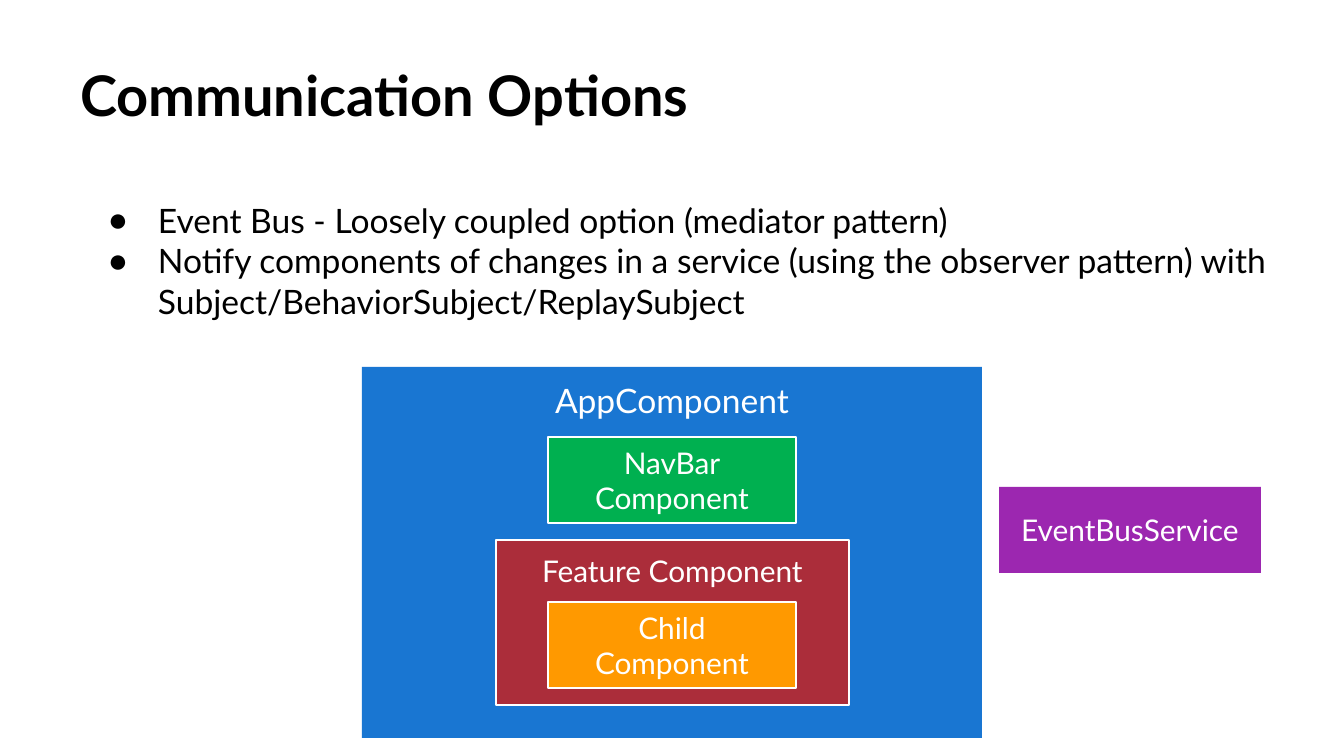
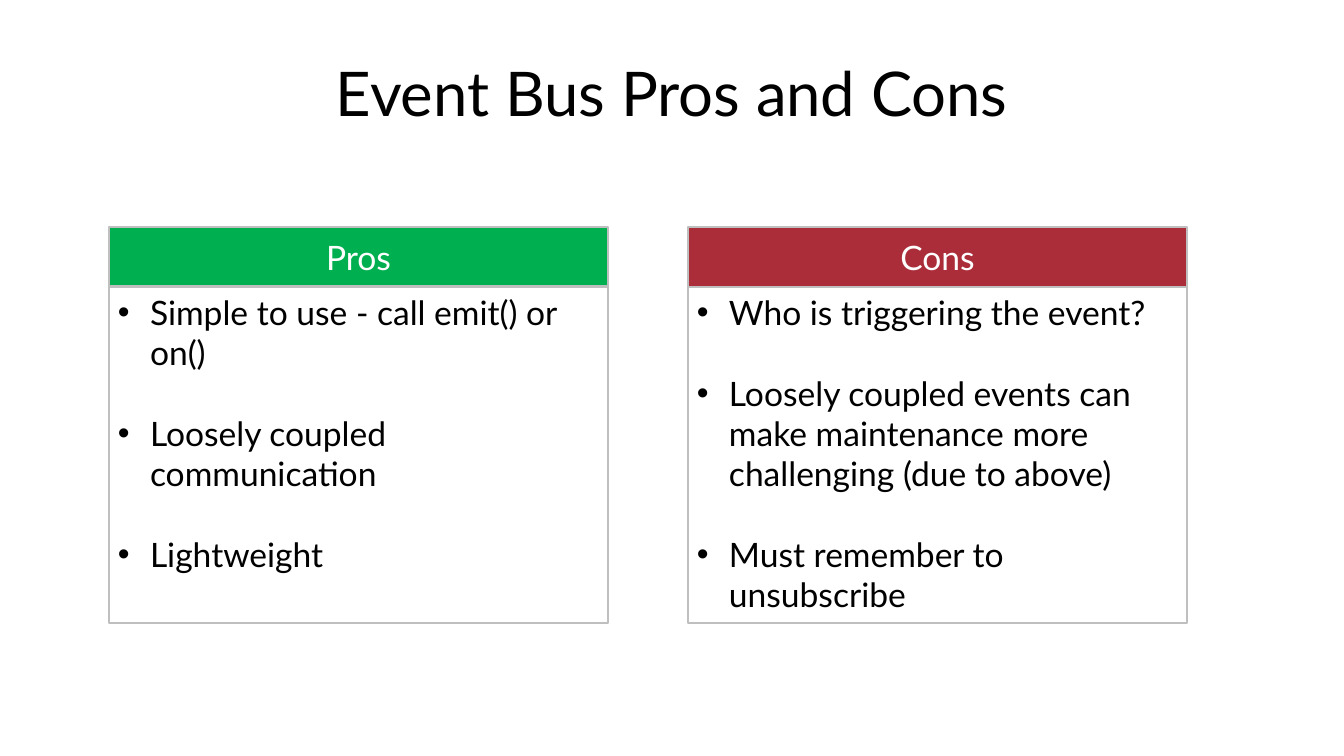
import pptx
import pptx.util
import pptx.dml.color
import pptx.enum.shapes
import pptx.enum.text
import pptx.oxml.ns
import lxml.etree

SCALE = 914400 / 134.4
FONT = "Lato"
COLORS = {
    "black": "000000",
    "white": "FFFFFF",
    "blue": "1976D2",
    "green": "00B050",
    "red": "AB2D3A",
    "orange": "FF9900",
    "purple": "9C27B0",
    "gray": "BFBFBF",
}
ALIGN = pptx.enum.text.PP_ALIGN
ANCHOR = pptx.enum.text.MSO_ANCHOR


def px(length):
    return pptx.util.Emu(round(length * SCALE))


def rgb(name):
    return pptx.dml.color.RGBColor.from_string(COLORS[name])


class SlideBuilder:
    def __init__(self, deck):
        self.deck = deck
        self.page = None

    def place(self, box, area):
        box.left, box.top, box.width, box.height = map(px, area)

    def frame(self, box, anchor, inset=(13, 13)):
        frame = box.text_frame
        frame.word_wrap = True
        frame.auto_size = pptx.enum.text.MSO_AUTO_SIZE.NONE
        frame.vertical_anchor = anchor
        frame.margin_left = frame.margin_right = px(inset[0])
        frame.margin_top = frame.margin_bottom = px(inset[1])
        return frame

    def add_lines(self, frame, lines, size, color, align, bold=False, bullet=None, indent=0, hanging=0, gap=0):
        for index, line in enumerate(lines):
            para = frame.add_paragraph() if index else frame.paragraphs[0]
            para.alignment = align
            if bullet:
                self.bullet(para, bullet, indent, hanging)
            if index and gap:
                para.space_before = pptx.util.Pt(gap)
            span = para.add_run()
            span.text = line
            span.font.name = FONT
            span.font.size = pptx.util.Pt(size)
            span.font.bold = bold
            span.font.color.rgb = rgb(color)

    def bullet(self, para, symbol, indent, hanging):
        qn = pptx.oxml.ns.qn
        properties = para._p.get_or_add_pPr()
        properties.set("marL", str(px(indent)))
        properties.set("indent", str(px(-hanging)))
        tint = lxml.etree.SubElement(properties, qn("a:buClr"))
        lxml.etree.SubElement(tint, qn("a:srgbClr"), val=COLORS["black"])
        lxml.etree.SubElement(properties, qn("a:buFont"), typeface="Arial")
        lxml.etree.SubElement(properties, qn("a:buChar"), char=symbol)

    def start(self, title, top, size, align, bold=False, spacing=1.0):
        self.page = self.deck.slides.add_slide(self.deck.slide_layouts[5])
        box = self.page.shapes.title
        self.place(box, (67, top, 1210, 126))
        frame = self.frame(box, ANCHOR.MIDDLE)
        self.add_lines(frame, [title], size, "black", align, bold)
        frame.paragraphs[0].line_spacing = spacing

    def bullets(self, area, lines):
        box = self.page.shapes.add_textbox(*map(px, area))
        frame = self.frame(box, ANCHOR.TOP)
        self.add_lines(frame, lines, 18, "black", ALIGN.LEFT, bullet="●", indent=67, hanging=50)

    def rectangle(self, area, fill=None, line=None, weight=0.75):
        box = self.page.shapes.add_shape(pptx.enum.shapes.MSO_SHAPE.RECTANGLE, *map(px, area))
        box.shadow.inherit = False
        if fill:
            box.fill.solid()
            box.fill.fore_color.rgb = rgb(fill)
        else:
            box.fill.background()
        if line:
            box.line.color.rgb = rgb(line)
            box.line.width = pptx.util.Pt(weight)
        else:
            box.line.fill.background()
        return box

    def block(self, area, lines, fill, size=16, anchor=ANCHOR.MIDDLE, line=None, weight=0.75):
        box = self.rectangle(area, fill, line, weight)
        self.add_lines(self.frame(box, anchor), lines, size, "white", ALIGN.CENTER)

    def panel(self, area, lines):
        box = self.rectangle(area, line="gray")
        frame = self.frame(box, ANCHOR.TOP, (9, 5))
        self.add_lines(frame, lines, 18, "black", ALIGN.LEFT, bullet="•", indent=32, hanging=32, gap=21.6)


def communication_options(builder):
    builder.start("Communication Options", 31, 30, ALIGN.LEFT, bold=True)
    builder.bullets((78, 187, 1210, 120), [
        "Event Bus - Loosely coupled option (mediator pattern)",
        "Notify components of changes in a service (using the observer pattern) with "
        "Subject/BehaviorSubject/ReplaySubject",
    ])
    builder.block((362, 367, 620, 371), ["AppComponent"], "blue", size=18, anchor=ANCHOR.TOP)
    builder.block((548, 437, 248, 86), ["NavBar", "Component"], "green", line="white")
    builder.block((496, 540, 353, 165), ["Feature Component"], "red", anchor=ANCHOR.TOP, line="white")
    builder.block((548, 602, 248, 86), ["Child Component"], "orange", line="white", weight=1.5)
    builder.block((999, 487, 262, 86), ["EventBusService"], "purple")


def pros_and_cons(builder):
    builder.start("Event Bus Pros and Cons", 34, 33, ALIGN.CENTER, spacing=0.9)
    columns = [
        ("Pros", "green", 1.5, [
            "Simple to use - call emit() or on()",
            "Loosely coupled communication",
            "Lightweight",
        ]),
        ("Cons", "red", 1, [
            "Who is triggering the event?",
            "Loosely coupled events can make maintenance more challenging (due to above)",
            "Must remember to unsubscribe",
        ]),
    ]
    for index, (heading, color, weight, points) in enumerate(columns):
        left = 109 + 579 * index
        builder.block((left, 227, 499, 60), [heading], color, size=18, line="gray", weight=weight)
        builder.panel((left, 287, 499, 336), points)


def main():
    deck = pptx.Presentation()
    deck.slide_width = px(1344)
    deck.slide_height = px(756)
    builder = SlideBuilder(deck)
    communication_options(builder)
    pros_and_cons(builder)
    deck.save("out.pptx")


if __name__ == "__main__":
    main()
